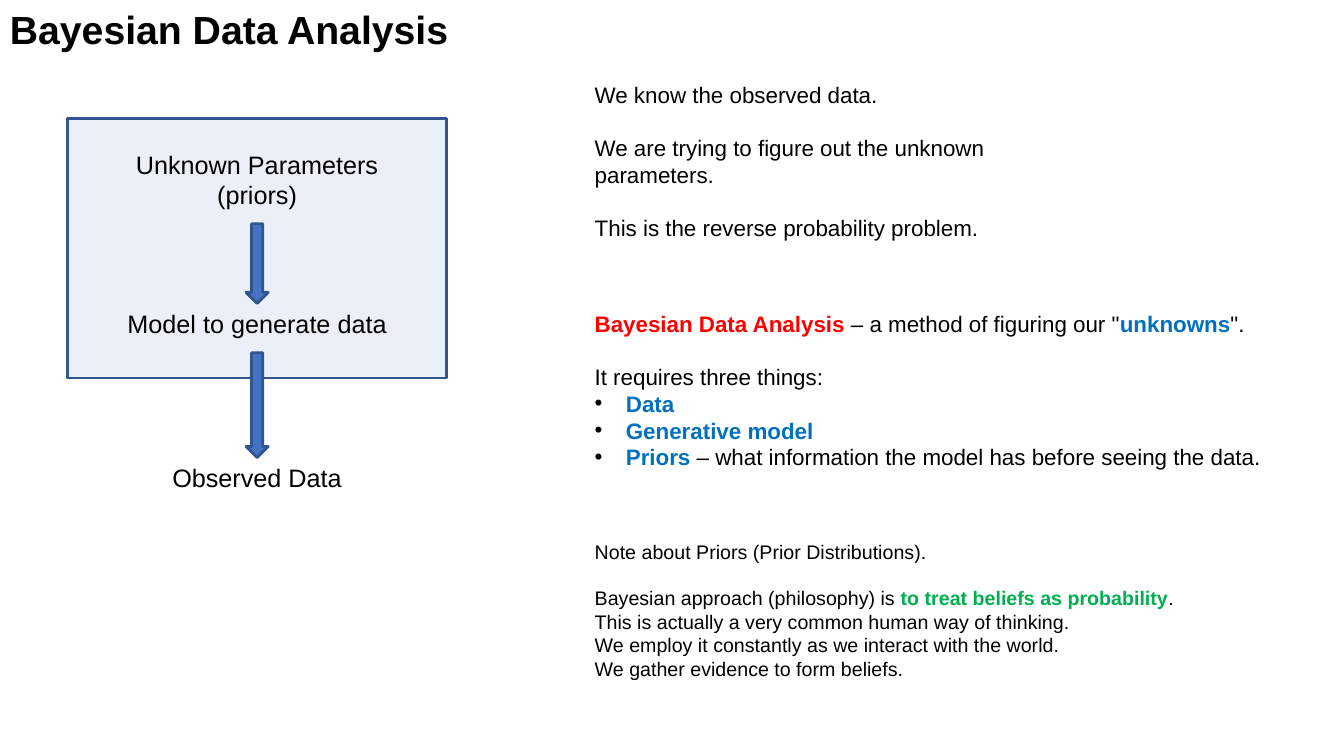
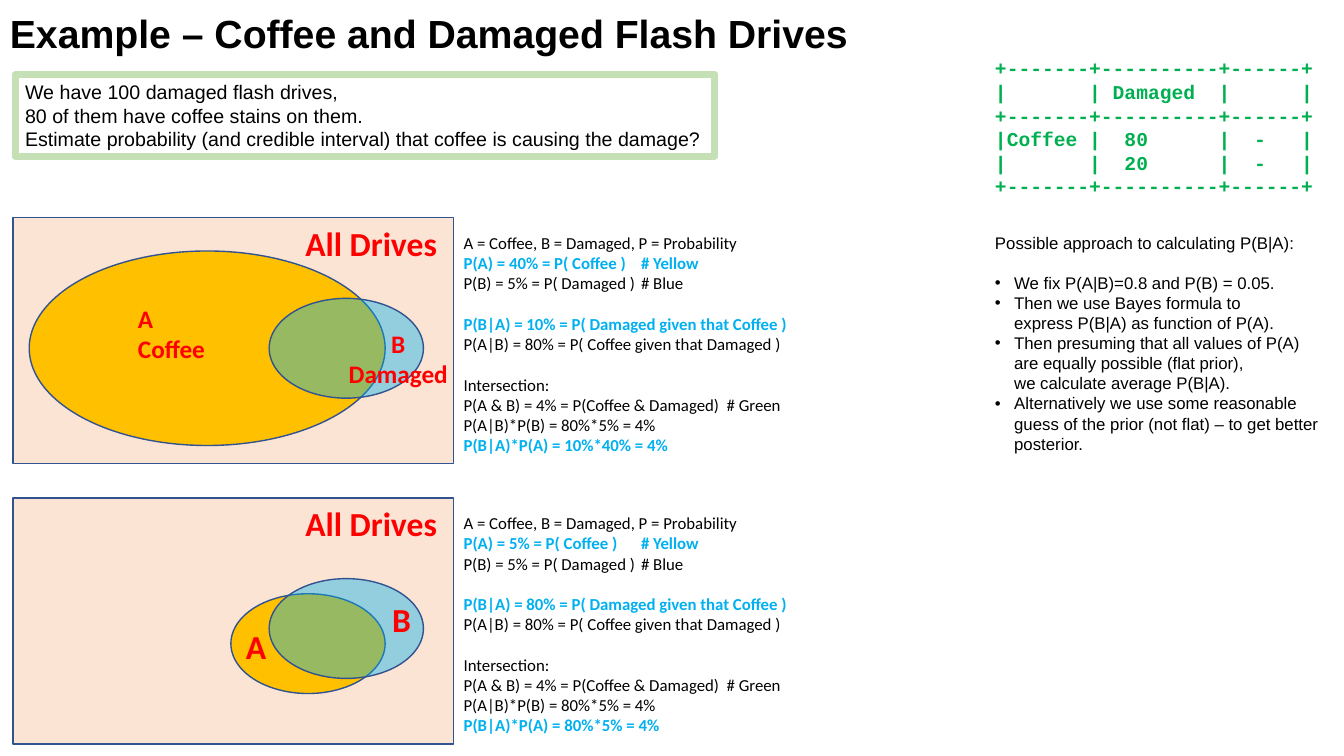
"""Build two slides on Bayesian data analysis."""
from dataclasses import dataclass

import lxml.etree
import pptx
import pptx.dml.color
import pptx.enum.shapes
import pptx.enum.text
import pptx.oxml.ns
import pptx.util

Inches = pptx.util.Inches
Pt = pptx.util.Pt
Shapes = pptx.enum.shapes.MSO_SHAPE
Align = pptx.enum.text.PP_ALIGN

BLACK, RED, GREEN = "000000", "FF0000", "00B050"
BLUE, SKY, ROYAL = "0070C0", "00B0F0", "4472C4"
NAVY, OUTLINE = "325491", "31538F"
GOLD, PEACH, MINT = "FFC000", "FBE4D4", "C5E0B4"
LINE_HEIGHT = {"Arial": 1.15, "Calibri": 1.22, "Courier New": 1.13}


@dataclass
class Span:
    text: str
    color: str = BLACK
    bold: bool = False


@dataclass
class Line:
    spans: list
    gap: bool = False
    bullet: float = 0


def rgb(value):
    return pptx.dml.color.RGBColor.from_string(value)


def add_child(parent, tag, **attributes):
    return lxml.etree.SubElement(parent, pptx.oxml.ns.qn(tag), attributes)


class Builder:
    def __init__(self):
        self.deck = pptx.Presentation()
        self.deck.slide_width = Inches(13.33)
        self.deck.slide_height = Inches(7.5)
        self.slide = None

    def page(self, title, top):
        self.slide = self.deck.slides.add_slide(self.deck.slide_layouts[6])
        self.text((0, top, 9, 0.57), [Span(title, BLACK, True)], 28)

    def shape(self, kind, place, fill, line, width, opacity=100):
        shape = self.slide.shapes.add_shape(kind, *map(Inches, place))
        shape.shadow.inherit = False
        if fill:
            shape.fill.solid()
            shape.fill.fore_color.rgb = rgb(fill)
        else:
            shape.fill.background()
        if opacity < 100:
            color = shape.element.xpath("./p:spPr/a:solidFill/a:srgbClr")[0]
            add_child(color, "a:alpha", val=str(opacity * 1000))
        shape.line.color.rgb = rgb(line)
        shape.line.width = Pt(width)
        return shape

    def text(self, place, lines, size, font="Arial", align=Align.LEFT, tabs=()):
        box = self.slide.shapes.add_textbox(*map(Inches, place))
        self.fill_text(box.text_frame, lines, size, font, align, tabs)

    def fill_text(self, frame, lines, size, font="Arial", align=Align.LEFT, tabs=()):
        frame.word_wrap = True
        for index, line in enumerate(lines):
            if not isinstance(line, Line):
                line = Line([line])
            para = frame.add_paragraph() if index else frame.paragraphs[0]
            spans = [Span(s) if isinstance(s, str) else s for s in line.spans]
            self.indent(para, line.bullet, tabs)
            para.alignment = align
            if line.gap:
                para.space_before = Pt(round(size * LINE_HEIGHT[font], 1))
            para.font.name = font
            para.font.size = Pt(size)
            self.ink(para.font, spans[0])
            for span in spans:
                for part, words in enumerate(span.text.split("\n")):
                    if part:
                        para.add_line_break()
                    run = para.add_run()
                    run.text = words
                    if len(spans) > 1:
                        self.ink(run.font, span)

    @staticmethod
    def ink(font, span):
        font.color.rgb = rgb(span.color)
        font.bold = span.bold

    @staticmethod
    def indent(para, bullet, tabs):
        properties = para._p.get_or_add_pPr()
        if bullet:
            properties.set("marL", str(Inches(bullet)))
            properties.set("indent", str(-Inches(bullet)))
            color = add_child(properties, "a:buClr")
            add_child(color, "a:srgbClr", val=BLACK)
            add_child(properties, "a:buFont", typeface="Arial")
            add_child(properties, "a:buChar", char="•")
        if tabs:
            stops = add_child(properties, "a:tabLst")
            for stop in tabs:
                add_child(stops, "a:tab", pos=str(Inches(stop)), algn="l")

    def arrow(self, top, height):
        self.shape(Shapes.DOWN_ARROW, (2.44, top, 0.22, height), ROYAL, NAVY, 2)

    def label(self, place, words, size, align=Align.LEFT):
        self.text(place, [Span(word, RED, True) for word in words],
                  size, "Calibri", align)

    def venn(self, top, coffee_place, coffee, given, product):
        self.shape(Shapes.RECTANGLE, (0.13, top, 4.37, 2.44), PEACH, OUTLINE, 1)
        self.shape(Shapes.OVAL, coffee_place, GOLD, OUTLINE, 1)
        self.shape(Shapes.OVAL, (2.67, top + 0.8, 1.53, 0.99), SKY, OUTLINE, 1, 41)
        self.label((2.93, top, 1.67, 0.5), ["All Drives"], 24)
        self.text((4.5, top + 0.1, 3.66, 2.24), [
            "A = Coffee, B = Damaged, P = Probability",
            Span(f"P(A) = {coffee} = P( Coffee )\t# Yellow", SKY, True),
            "P(B) = 5% = P( Damaged )\t# Blue",
            Line([Span(f"P(B|A) = {given} = P( Damaged given that Coffee )",
                       SKY, True)], gap=True),
            "P(A|B) = 80% = P( Coffee given that Damaged )",
            Line(["Intersection:"], gap=True),
            "P(A & B) = 4% = P(Coffee & Damaged)\t# Green",
            "P(A|B)*P(B) = 80%*5% = 4%",
            Span(f"P(B|A)*P(A) = {product} = 4%", SKY, True),
        ], 12, "Calibri", tabs=(1.76, 2.61))


def analysis_page(builder):
    builder.page("Bayesian Data Analysis", 0)
    builder.shape(Shapes.RECTANGLE, (0.67, 1.18, 3.76, 2.57), ROYAL, NAVY, 2, 10)
    for top, height, step in ((1.43, 0.71, "Unknown Parameters (priors)"),
                              (3.01, 0.4, "Model to generate data"),
                              (4.54, 0.4, "Observed Data")):
        builder.text((0.87, top, 3.36, height), [step], 18, align=Align.CENTER)
    builder.arrow(2.22, 0.79)
    builder.arrow(3.5, 1.04)
    builder.text((5.8, 0.76, 4.81, 1.72), [
        "We know the observed data.",
        Line(["We are trying to figure out the unknown parameters."], gap=True),
        Line(["This is the reverse probability problem."], gap=True),
    ], 16)
    builder.text((5.8, 3.03, 7.2, 1.72), [
        Line([Span("Bayesian Data Analysis", RED, True),
              " – a method of figuring our \"",
              Span("unknowns", BLUE, True), "\"."]),
        Line(["It requires three things:"], gap=True),
        Line([Span("Data", BLUE, True)], bullet=0.31),
        Line([Span("Generative model", BLUE, True)], bullet=0.31),
        Line([Span("Priors", BLUE, True),
              " – what information the model has before seeing the data."],
             bullet=0.31),
    ], 16)
    builder.text((5.8, 5.31, 6.35, 1.51), [
        "Note about Priors (Prior Distributions).",
        Line(["Bayesian approach (philosophy) is ",
              Span("to treat beliefs as probability", GREEN, True), "."], gap=True),
        "This is actually a very common human way of thinking.",
        "We employ it constantly as we interact with the world.",
        "We gather evidence to form beliefs.",
    ], 14)


def example_page(builder):
    builder.page("Example – Coffee and Damaged Flash Drives", 0.04)
    question = builder.shape(Shapes.RECTANGLE, (0.15, 0.74, 6.94, 0.81),
                             None, MINT, 5)
    builder.fill_text(question.text_frame, [
        "We have 100 damaged flash drives,",
        "80 of them have coffee stains on them.",
        "Estimate probability (and credible interval) "
        "that coffee is causing the damage?",
    ], 14)
    builder.venn(2.16, (0.29, 2.49, 3.53, 1.93), "40%", "10%", "10%*40%")
    builder.label((1.27, 2.96, 1.06, 0.71), ["A", "Coffee"], 18)
    builder.label((3.27, 3.21, 1.36, 0.82), ["B", "Damaged"], 18, Align.CENTER)
    builder.venn(4.94, (2.29, 5.89, 1.53, 0.99), "5%", "80%", "80%*5%")
    builder.label((2.34, 6.16, 0.64, 0.47), ["A"], 24)
    builder.label((3.79, 5.89, 0.7, 0.47), ["B"], 24)
    rule = "+-------+----------+------+"
    counts = [rule,
              "|       | Damaged  |      |",
              rule,
              "|Coffee |  80      |  -   |",
              "|       |  20      |  -   |",
              rule]
    builder.text((9.77, 0.51, 3.41, 1.51),
                 [Span(row, GREEN, True) for row in counts], 14, "Courier New")
    steps = ["We fix P(A|B)=0.8 and P(B) = 0.05.",
             "Then we use Bayes formula to\nexpress P(B|A) as function of P(A).",
             "Then presuming that all values of P(A)\n"
             "are equally possible (flat prior),\nwe calculate average P(B|A).",
             "Alternatively we use some reasonable guess of the prior "
             "(not flat) – to get better posterior."]
    builder.text((9.77, 2.26, 3.55, 2.32), [
        "Possible approach to calculating P(B|A):",
        *(Line([step], gap=index == 0, bullet=0.19)
          for index, step in enumerate(steps)),
    ], 12)


def main():
    builder = Builder()
    analysis_page(builder)
    example_page(builder)
    builder.deck.save("out.pptx")


if __name__ == "__main__":
    main()
